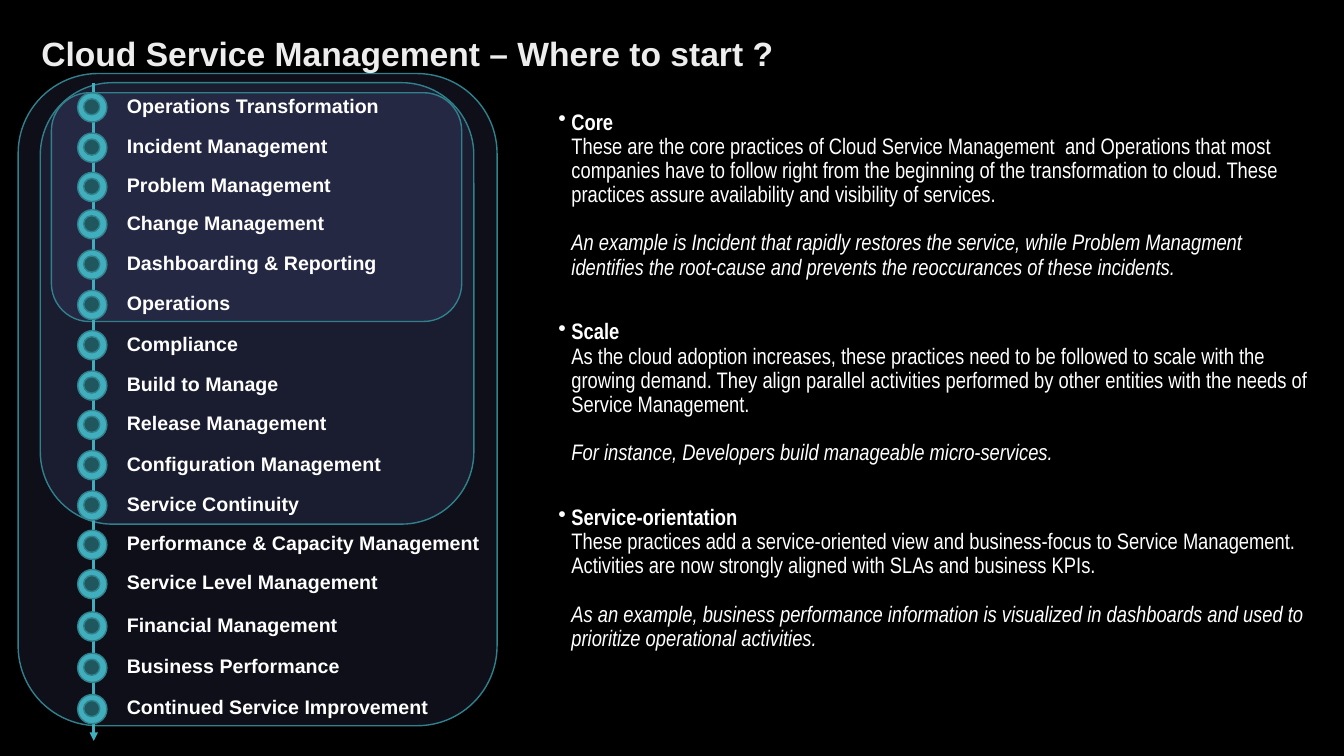
from dataclasses import dataclass

from pptx import Presentation
from pptx.dml.color import RGBColor
from pptx.enum.shapes import MSO_CONNECTOR, MSO_SHAPE
from pptx.enum.text import MSO_ANCHOR
from pptx.oxml import parse_xml
from pptx.oxml.ns import nsdecls
from pptx.util import Inches, Pt

ROUND, OVAL = MSO_SHAPE.ROUNDED_RECTANGLE, MSO_SHAPE.OVAL
STRAIGHT = MSO_CONNECTOR.STRAIGHT
TOP, MIDDLE = MSO_ANCHOR.TOP, MSO_ANCHOR.MIDDLE


@dataclass(frozen=True)
class Theme:
    back: str = "000000"
    text: str = "FFFFFF"
    layer: str = "8A94F6"
    edge: str = "30818C"
    ring: str = "41AEBD"
    core: str = "20575E"
    shine: tuple = ((0, "BFBFBF"), (28, "EDEDED"), (100, "FFFFFF"))
    font: str = "Arial"
    slim: str = "Arial Narrow"
    title: int = 24
    label: int = 14
    body: int = 16


def node(tag, attrs="", inner=""):
    return parse_xml(f"<a:{tag} {nsdecls('a')} {attrs}>{inner}</a:{tag}>")


def color(code):
    return RGBColor.from_string(code)


class Board:
    def __init__(self, slide, theme):
        self.slide, self.theme = slide, theme
        fill = slide.background.fill
        fill.solid()
        fill.fore_color.rgb = color(theme.back)

    def shape(self, kind, x, y, w, h, fill, alpha=None):
        """Draw an outlined shape; alpha is its opacity in percent."""
        item = self.slide.shapes.add_shape(
            kind, Inches(x), Inches(y), Inches(w), Inches(h))
        item.shadow.inherit = False
        item.fill.solid()
        item.fill.fore_color.rgb = color(fill)
        if alpha is not None:
            tint = item.fill._xPr.find(".//{*}srgbClr")
            tint.append(node("alpha", f'val="{alpha * 1000}"'))
        item.line.color.rgb = color(self.theme.edge)
        item.line.width = Pt(1)

    def arrow(self, x, top, end):
        item = self.slide.shapes.add_connector(
            STRAIGHT, Inches(x), Inches(top), Inches(x), Inches(end))
        item.line.color.rgb = color(self.theme.ring)
        item.line.width = Pt(2)
        item.line._get_or_add_ln().append(node("tailEnd", 'type="triangle"'))
        item._element.spPr.append(node("effectLst"))

    def frame(self, x, y, w, h, anchor):
        box = self.slide.shapes.add_textbox(
            Inches(x), Inches(y), Inches(w), Inches(h))
        frame = box.text_frame
        frame.word_wrap = True
        frame.vertical_anchor = anchor
        return frame

    def run(self, para, text, size, font, bold=False, italic=False):
        run = para.add_run()
        run.text = text
        run.font.name, run.font.size = font, Pt(size)
        run.font.bold, run.font.italic = bold, italic
        run.font.color.rgb = color(self.theme.text)
        return run

    def title(self, text):
        look = self.theme
        frame = self.frame(0.34, 0.25, 11.5, 0.62, MIDDLE)
        frame.margin_left = frame.margin_right = Inches(0.07)
        frame.margin_top = frame.margin_bottom = Inches(0.04)
        para = frame.paragraphs[0]
        para.line_spacing = 0.8
        run = self.run(para, text, look.title, look.font, bold=True)
        stops = "".join(
            f'<a:gs pos="{pos * 1000}"><a:srgbClr val="{code}"/></a:gs>'
            for pos, code in look.shine)
        props = run.font._element
        props.replace(props.find("{*}solidFill"), node(
            "gradFill", "",
            f'<a:gsLst>{stops}</a:gsLst><a:lin ang="4800000" scaled="0"/>'))

    def step(self, y, text):
        """Draw a ringed dot with its top at y, and the label beside it."""
        look = self.theme
        self.shape(OVAL, 0.77, y, 0.29, 0.29, look.ring)
        self.shape(OVAL, 0.83, y + 0.06, 0.16, 0.16, look.core)
        para = self.frame(1.16, y - 0.03, 3.9, 0.34, MIDDLE).paragraphs[0]
        para.line_spacing = 0.9
        self.run(para, text, look.label, look.font, bold=True)

    def para(self, frame, gap, bullet):
        """Start an indented paragraph; gap is the space above in points."""
        first = not frame.paragraphs[0].runs
        para = frame.paragraphs[0] if first else frame.add_paragraph()
        para.line_spacing = 0.9
        para.space_before = Pt(0 if first else gap)
        props = para._p.get_or_add_pPr()
        props.set("marL", str(Inches(0.13)))
        props.set("indent", str(Inches(-0.13 if bullet else 0)))
        props.append(node("buChar", 'char="•"') if bullet else node("buNone"))
        return para

    def notes(self, items):
        look = self.theme
        frame = self.frame(5.44, 1.05, 7.67, 5.83, TOP)
        for head, body, case in items:
            para = self.para(frame, 29, True)
            self.run(para, head, look.body, look.slim, bold=True)
            para.add_line_break()
            self.run(para, body, look.body, look.slim)
            para = self.para(frame, 17.3, False)
            self.run(para, case, look.body, look.slim, italic=True)


LAYERS = (
    (0.18, 0.73, 4.75, 6.47),
    (0.4, 0.82, 4.3, 4.38),
    (0.51, 0.92, 4.07, 2.27),
)
STEPS = (
    (0.92, "Operations Transformation"),
    (1.32, "Incident Management"),
    (1.71, "Problem Management"),
    (2.08, "Change Management"),
    (2.48, "Dashboarding & Reporting"),
    (2.88, "Operations"),
    (3.28, "Compliance"),
    (3.68, "Build to Manage"),
    (4.07, "Release Management"),
    (4.47, "Configuration Management"),
    (4.87, "Service Continuity"),
    (5.26, "Performance & Capacity Management"),
    (5.65, "Service Level Management"),
    (6.07, "Financial Management"),
    (6.48, "Business Performance"),
    (6.89, "Continued Service Improvement"),
)
NOTES = (
    ("Core",
     "These are the core practices of Cloud Service Management  and "
     "Operations that most companies have to follow right from the beginning "
     "of the transformation to cloud. These practices assure availability "
     "and visibility of services.",
     "An example is Incident that rapidly restores the service, while "
     "Problem Managment identifies the root-cause and prevents the "
     "reoccurances of these incidents."),
    ("Scale",
     "As the cloud adoption increases, these practices need to be followed "
     "to scale with the growing demand. They align parallel activities "
     "performed by other entities with the needs of Service Management.",
     "For instance, Developers build manageable micro-services."),
    ("Service-orientation",
     "These practices add a service-oriented view and business-focus to "
     "Service Management. Activities are now strongly aligned with SLAs and "
     "business KPIs.",
     "As an example, business performance information is visualized in "
     "dashboards and used to prioritize operational activities."),
)


def main():
    deck = Presentation()
    deck.slide_width, deck.slide_height = Inches(13.33), Inches(7.5)
    theme = Theme()
    board = Board(deck.slides.add_slide(deck.slide_layouts[6]), theme)
    for area in LAYERS:
        board.shape(ROUND, *area, theme.layer, alpha=10)
    board.arrow(0.93, 0.82, 7.35)
    for y, text in STEPS:
        board.step(y, text)
    board.title("Cloud Service Management – Where to start ?")
    board.notes(NOTES)
    deck.save("out.pptx")


if __name__ == "__main__":
    main()
